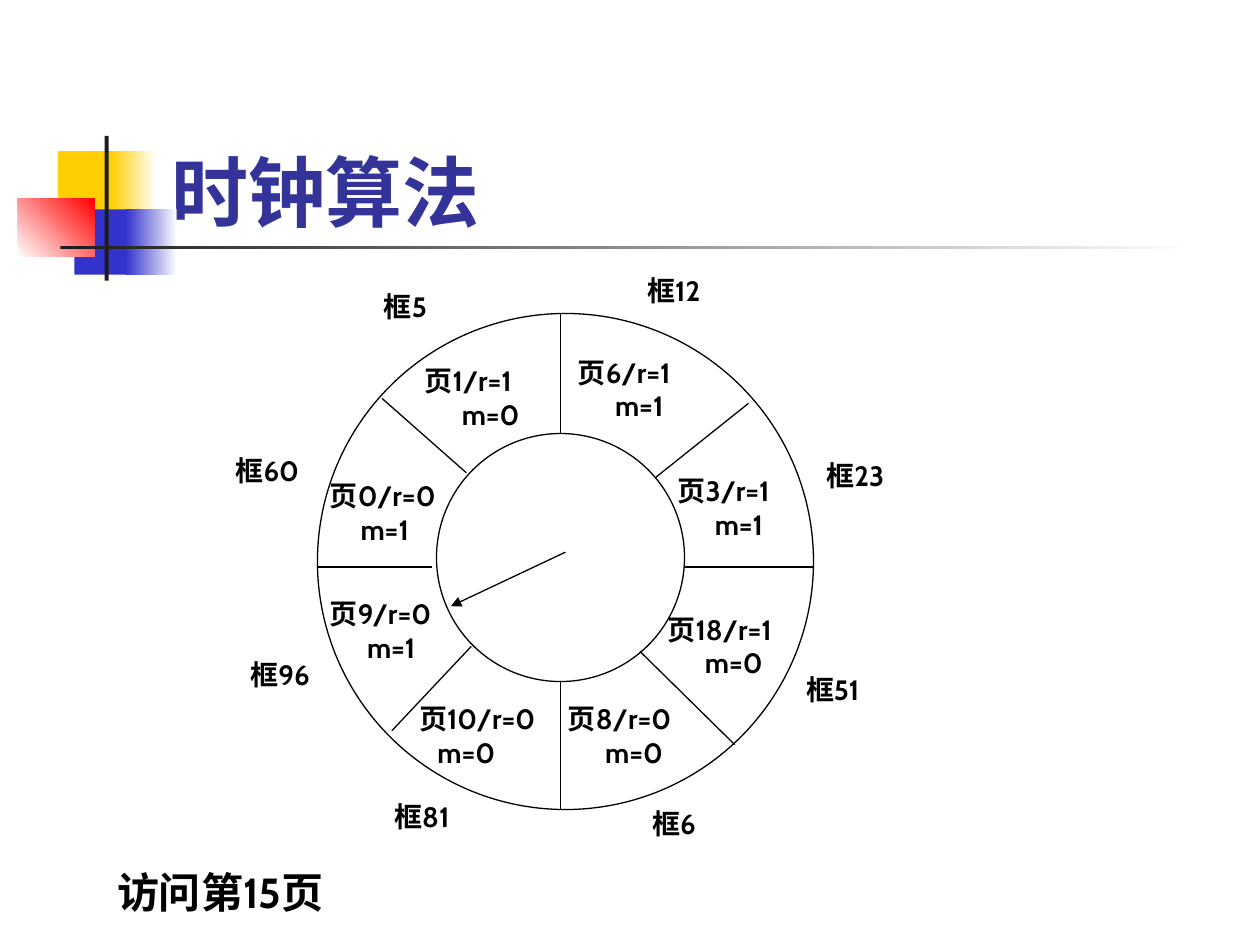
from dataclasses import dataclass

from pptx import Presentation
from pptx.dml.color import RGBColor
from pptx.enum.shapes import MSO_CONNECTOR, MSO_SHAPE
from pptx.enum.text import MSO_ANCHOR, MSO_AUTO_SIZE, PP_ALIGN
from pptx.oxml.ns import qn
from pptx.util import Cm, Pt

RECTANGLE, OVAL = MSO_SHAPE.RECTANGLE, MSO_SHAPE.OVAL
STRAIGHT = MSO_CONNECTOR.STRAIGHT
BOTTOM = MSO_ANCHOR.BOTTOM
NO_FIT, GROW = MSO_AUTO_SIZE.NONE, MSO_AUTO_SIZE.SHAPE_TO_FIT_TEXT
LEFT = PP_ALIGN.LEFT


@dataclass(frozen=True)
class Theme:
    font: str = "Cabin"
    title_size: int = 44
    note_size: int = 24
    label_size: int = 16
    line_width: float = 0.75
    ink: str = "000000"
    paper: str = "FFFFFF"
    title: str = "333399"
    yellow: str = "FFCF01"
    blue: str = "3333CC"
    red: str = "FF0000"
    bar: str = "1C1C1C"


THEME = Theme()

DECORATIONS = [
    ((1.17, 3.05, 1.22, 1.32), [THEME.yellow], 0),
    ((2.24, 3.05, 0.91, 1.32), [THEME.yellow, THEME.paper], 0),
    ((1.5, 4.22, 1.17, 1.32), [THEME.blue], 0),
    ((2.54, 4.22, 1.02, 1.32), [THEME.blue, THEME.paper], 0),
    ((0.36, 4.01, 1.55, 1.17), [THEME.paper, THEME.red], 45),
    ((2.11, 2.74, 0.08, 2.92), [THEME.bar], 0),
    ((1.22, 4.95, 22.86, 0.08), [THEME.bar, THEME.paper], 0),
]
RINGS = [(6.4, 6.32, 10, 10), (8.8, 8.74, 5, 5)]
SPOKES = [
    (11.3, 13.72, 11.3, 16.33),
    (11.3, 6.32, 11.3, 8.74),
    (6.4, 11.43, 8.71, 11.43),
    (13.79, 11.43, 16.41, 11.43),
    (13.21, 9.63, 15.09, 8.13),
    (12.9, 13.13, 14.81, 15.01),
    (9.5, 13.03, 7.9, 14.73),
    (7.7, 8.03, 9.4, 9.53),
]
HAND = (11.4, 11.13, 9.09, 12.22)
PAGE_HEIGHT, FRAME_HEIGHT = 1.63, 0.94
PAGES = [
    ("页6/r=1", "m=1", 0.75, (11.4, 7.04, 3)),
    ("页3/r=1", "m=1", 0.75, (13.41, 9.42, 2.9)),
    ("页18/r=1", "m=0", 0.75, (13.21, 12.22, 3.2)),
    ("页8/r=0", "m=0", 0.75, (11.2, 14.02, 2.9)),
    ("页10/r=0", "m=0", 0.37, (8.2, 14.02, 3.4)),
    ("页9/r=0", "m=1", 0.75, (6.4, 11.91, 3)),
    ("页0/r=0", "m=1", 0.62, (6.4, 9.53, 2.9)),
    ("页1/r=1", "m=0", 0.75, (8.31, 7.21, 3)),
]
FRAMES = [
    ("框12", (12.8, 5.38, 1.8)),
    ("框23", (16.41, 9.12, 2.2)),
    ("框51", (16, 13.44, 2.2)),
    ("框6", (12.9, 16.13, 1.7)),
    ("框81", (7.7, 16, 1.8)),
    ("框96", (4.8, 13.13, 1.9)),
    ("框60", (4.5, 9.02, 1.8)),
    ("框5", (7.49, 5.72, 1.6)),
]


def apply_format(target, values):
    for name, value in values.items():
        setattr(target, name, value)


def lengths(values):
    return [Cm(value) for value in values]


class SlideBuilder:
    """Draws styled elements on the current slide."""

    def __init__(self, theme, slide):
        self.theme = theme
        self.slide = slide

    def paint_line(self, line):
        line.color.rgb = RGBColor.from_string(self.theme.ink)
        line.width = Pt(self.theme.line_width)

    def style_paragraph(self, paragraph, size, color):
        paragraph.alignment = LEFT
        apply_format(paragraph.font, {
            "name": self.theme.font, "size": Pt(size), "bold": True})
        paragraph.font.color.rgb = RGBColor.from_string(color)

    def title(self, text, box):
        shape = self.slide.shapes.title
        apply_format(shape, dict(zip(("left", "top", "width", "height"), lengths(box))))
        frame = shape.text_frame
        frame.text = text
        apply_format(frame, {
            "auto_size": NO_FIT, "vertical_anchor": BOTTOM, "word_wrap": True})
        self.style_paragraph(frame.paragraphs[0], self.theme.title_size, self.theme.title)

    def block(self, box, colors, angle):
        shape = self.slide.shapes.add_shape(RECTANGLE, *lengths(box))
        shape.shadow.inherit = False
        shape.line.fill.background()
        if len(colors) == 1:
            shape.fill.solid()
            shape.fill.fore_color.rgb = RGBColor.from_string(colors[0])
            return
        shape.fill.gradient()
        shape.fill.gradient_angle = angle
        for stop, color in zip(shape.fill.gradient_stops, colors):
            stop.color.rgb = RGBColor.from_string(color)

    def ring(self, box):
        shape = self.slide.shapes.add_shape(OVAL, *lengths(box))
        shape.shadow.inherit = False
        shape.fill.solid()
        shape.fill.fore_color.rgb = RGBColor.from_string(self.theme.paper)
        self.paint_line(shape.line)

    def line(self, ends, arrow=False):
        connector = self.slide.shapes.add_connector(STRAIGHT, *lengths(ends))
        self.paint_line(connector.line)
        properties = connector._element.spPr
        if arrow:
            outline = properties.find(qn("a:ln"))
            head = outline.makeelement(qn("a:tailEnd"), {"type": "triangle"})
            outline.append(head)
        properties.append(properties.makeelement(qn("a:effectLst"), {}))

    def text(self, lines, box, size, indent=0):
        frame = self.slide.shapes.add_textbox(*lengths(box)).text_frame
        apply_format(frame, {"word_wrap": True, "auto_size": GROW})
        frame.text = "\n".join(lines)
        for paragraph in frame.paragraphs:
            self.style_paragraph(paragraph, size, self.theme.ink)
        if indent:
            properties = frame.paragraphs[-1]._p.get_or_add_pPr()
            properties.set("marL", str(Cm(indent)))


def main():
    presentation = Presentation()
    apply_format(presentation, {"slide_width": Cm(25.4), "slide_height": Cm(19.05)})
    slide = presentation.slides.add_slide(presentation.slide_layouts[5])
    builder = SlideBuilder(THEME, slide)
    for box, colors, angle in DECORATIONS:
        builder.block(box, colors, angle)
    for box in RINGS:
        builder.ring(box)
    for ends in SPOKES:
        builder.line(ends)
    for page, modified, indent, place in PAGES:
        builder.text([page, modified], (*place, PAGE_HEIGHT), THEME.label_size, indent)
    builder.line(HAND, arrow=True)
    for frame, place in FRAMES:
        builder.text([frame], (*place, FRAME_HEIGHT), THEME.label_size)
    builder.text(["访问第15页"], (2.11, 17.35, 5.11, 1.27), THEME.note_size)
    builder.title("时钟算法", (3.2, 1.73, 21.64, 3.18))
    presentation.save("out.pptx")


if __name__ == "__main__":
    main()
